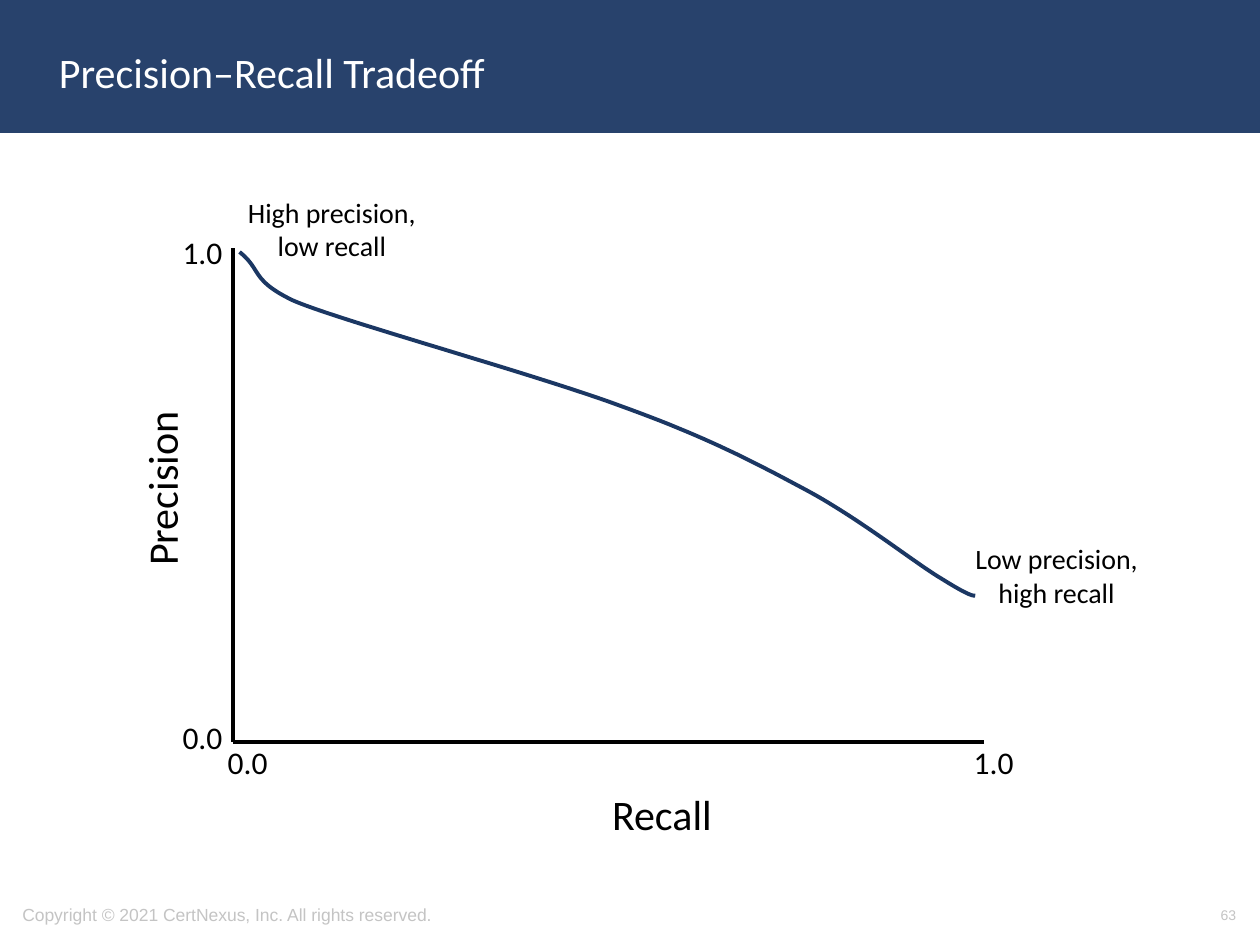
from lxml.etree import SubElement
from pptx import Presentation
from pptx.dml.color import RGBColor as RGB
from pptx.enum.shapes import MSO_CONNECTOR as CONN, MSO_SHAPE as SHAPE
from pptx.enum.text import MSO_ANCHOR as ANCHOR, MSO_AUTO_SIZE as AUTO, PP_ALIGN as ALIGN
from pptx.oxml.ns import qn
from pptx.util import Cm, Pt

COLORS = {"navy": "28426C", "curve": "1B3763", "black": "000000",
          "white": "FFFFFF", "gray": "C4C4C4"}


def color(name):
    return RGB.from_string(COLORS[name])


def write(tf, text, size=18, font="Calibri", fill="black", align=ALIGN.LEFT):
    p = tf.paragraphs[0]
    p.text = text
    p.alignment = align
    for r in p.runs:
        r.font.size = Pt(size)
        r.font.name = font
        r.font.color.rgb = color(fill)


def bezier(start, c1, c2, end, steps=24):
    for i in range(1, steps + 1):
        t = i / steps
        u = 1 - t
        yield tuple(u**3 * a + 3 * u * u * t * b + 3 * u * t * t * c + t**3 * d
                    for a, b, c, d in zip(start, c1, c2, end))


class Deck:
    line_width = Pt(2.25)

    def __init__(self, width, height):
        self.prs = Presentation()
        self.prs.slide_width, self.prs.slide_height = Cm(width), Cm(height)
        self.s = self.prs.slides.add_slide(self.prs.slide_layouts[6])

    def band(self, x, y, w, h, fill):
        sp = self.s.shapes.add_shape(SHAPE.RECTANGLE, Cm(x), Cm(y), Cm(w), Cm(h))
        sp.shadow.inherit = False
        sp.fill.solid()
        sp.fill.fore_color.rgb = sp.line.color.rgb = color(fill)
        sp.line.width = Pt(2)

    def text(self, x, y, w, h, text, **fmt):
        sp = self.s.shapes.add_textbox(Cm(x), Cm(y), Cm(w), Cm(h))
        tf = sp.text_frame
        tf.word_wrap = True
        tf.vertical_anchor = ANCHOR.MIDDLE
        write(tf, text, **fmt)

    def label(self, x, y, w, h, text, rotation=0, **fmt):
        sp = self.s.shapes.add_textbox(Cm(x), Cm(y), Cm(w), Cm(h))
        sp.rotation = rotation
        tf = sp.text_frame
        tf.word_wrap = False
        tf.auto_size = AUTO.SHAPE_TO_FIT_TEXT
        write(tf, text, **fmt)

    def axis(self, x1, y1, x2, y2):
        sp = self.s.shapes.add_connector(CONN.STRAIGHT, Cm(x1), Cm(y1), Cm(x2), Cm(y2))
        sp.line.color.rgb = color("black")
        sp.line.width = self.line_width
        SubElement(sp._element.spPr, qn("a:effectLst"))

    def curve(self, knots):
        points = [pt for i in range(0, len(knots) - 1, 3)
                  for pt in bezier(*knots[i:i + 4])]
        x, y = knots[0]
        fb = self.s.shapes.build_freeform(Cm(x), Cm(y))
        fb.add_line_segments([(Cm(x), Cm(y)) for x, y in points], close=False)
        sp = fb.convert_to_shape()
        sp.shadow.inherit = False
        sp.fill.background()
        sp.line.color.rgb = color("curve")
        sp.line.width = self.line_width


def main():
    deck = Deck(25.4, 19.05)
    deck.band(0, 0, 25.4, 2.64, "navy")
    deck.text(0.2, 17.93, 13.39, 1.02,
              "Copyright © 2021 CertNexus, Inc. All rights reserved.",
              size=10, font="Arial", fill="gray")
    deck.text(0.94, 0.28, 21.9, 2.34, "Precision–Recall Tradeoff", size=24, fill="white")
    deck.text(19.25, 17.93, 5.92, 1.02, "63",
              size=8, font="Arial", fill="gray", align=ALIGN.RIGHT)

    deck.axis(4.7, 5, 4.7, 14.96)
    deck.axis(19.84, 14.96, 4.7, 14.96)
    deck.curve([(4.83, 5.08),
                (5.28, 5.44), (5.05, 5.64), (5.89, 6.05),
                (6.73, 6.43), (10.77, 7.54), (12.5, 8.18),
                (14.25, 8.81), (15.21, 9.32), (16.31, 9.91),
                (17.37, 10.49), (18.42, 11.33), (18.97, 11.66),
                (19.53, 12.01), (19.61, 12.01), (19.66, 12.01)])

    for x, y, tick in [(3.43, 4.57, "1.0"), (3.43, 14.35, "0.0"),
                       (4.34, 14.86, "0.0"), (19.38, 14.86, "1.0")]:
        deck.label(x, y, 1.32, 1.02, tick)
    deck.label(12.09, 15.77, 2.54, 1.27, "Recall", size=24)
    deck.label(1.42, 9.19, 3.66, 1.27, "Precision", rotation=270, size=24)
    for x, y, w, note in [(4.72, 3.81, 3.94, "High precision,\vlow recall"),
                          (19.38, 10.8, 3.84, "Low precision,\vhigh recall")]:
        deck.label(x, y, w, 1.63, note, size=16, align=ALIGN.CENTER)

    deck.prs.save("out.pptx")


if __name__ == "__main__":
    main()
